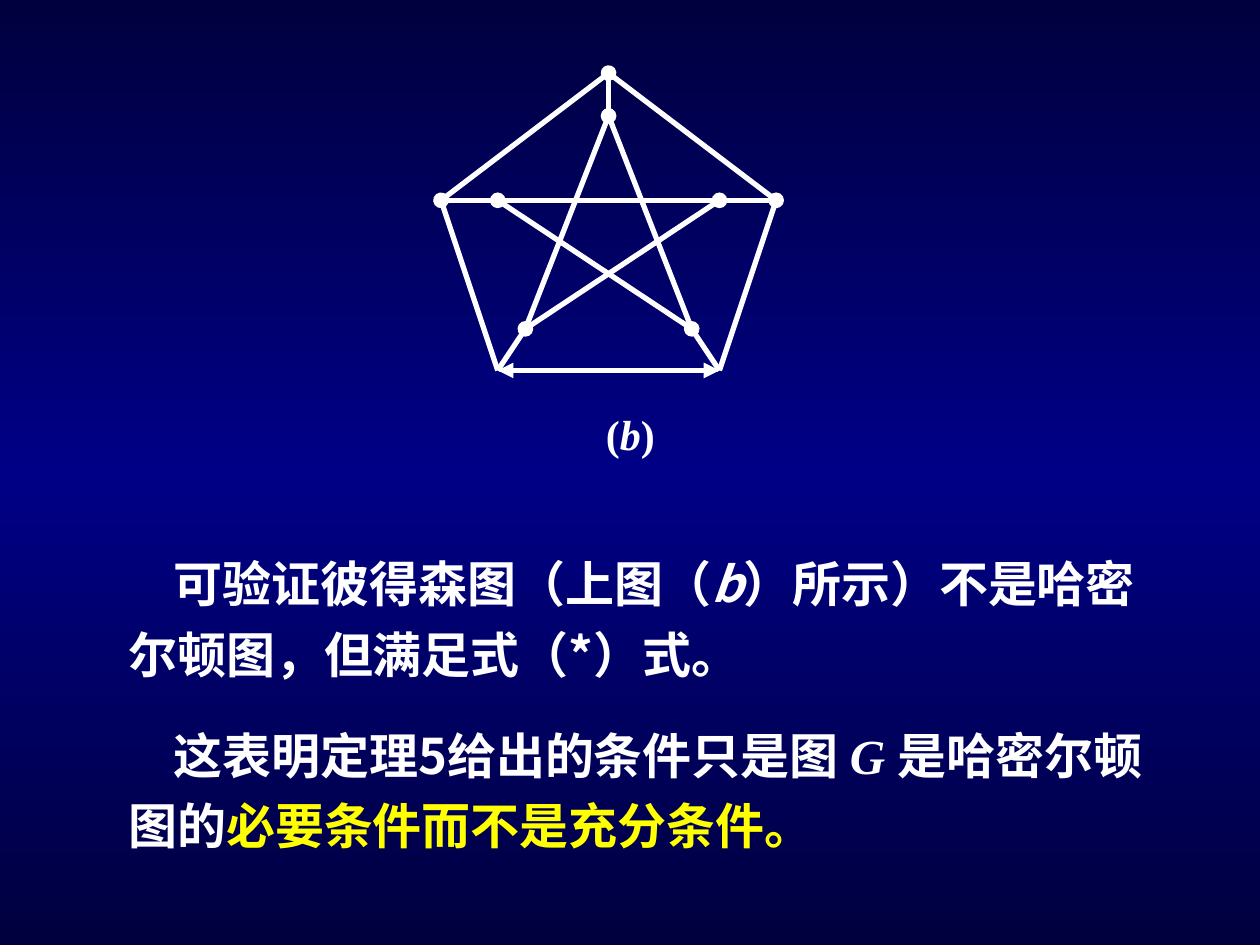
from copy import deepcopy

from pptx import Presentation
from pptx.dml.color import RGBColor
from pptx.enum.shapes import MSO_CONNECTOR
from pptx.enum.text import MSO_AUTO_SIZE
from pptx.oxml.ns import qn
from pptx.util import Inches, Pt
from lxml import etree

STRAIGHT = MSO_CONNECTOR.STRAIGHT
GROW = MSO_AUTO_SIZE.SHAPE_TO_FIT_TEXT

NAVY = RGBColor(0x00, 0x00, 0x3E)
BLUE = RGBColor(0x00, 0x00, 0x86)
WHITE = RGBColor(0xFF, 0xFF, 0xFF)
YELLOW = RGBColor(0xFF, 0xFF, 0x00)
ORANGE = RGBColor(0xFF, 0x66, 0x00)
GOLD = RGBColor(0xFF, 0xCC, 0x66)

SANS = "Noto Sans CJK SC"
SERIF = "Times New Roman"


def add_run(para, text, font=SANS, size=28, color=WHITE, italic=False):
    run = para.add_run()
    run.text = text
    run.font.name, run.font.size = font, Pt(size)
    run.font.bold, run.font.italic = True, italic
    run.font.color.rgb = color
    east = etree.SubElement(run.font._element, qn("a:ea"))
    east.set("typeface", font)


def add_text(shapes, box, paras, indent, lines=None, gap=0):
    """Each paragraph is a list of (text, format) pairs."""
    frame = shapes.add_textbox(*map(Inches, box)).text_frame
    frame.word_wrap = True
    frame.auto_size = GROW
    for i, runs in enumerate(paras):
        para = frame.add_paragraph() if i else frame.paragraphs[0]
        para._p.get_or_add_pPr().set("indent", str(Inches(indent)))
        para.line_spacing = lines
        if i:
            para.space_before = Pt(gap)
        for text, style in runs:
            add_run(para, text, **style)


def add_line(shapes, start, end, head=None, tail=None):
    line = shapes.add_connector(STRAIGHT, *map(Inches, start + end))
    line.line.color.rgb = WHITE
    line.line.width = Pt(3)
    pen = line.line._get_or_add_ln()
    for tag, kind in (("a:headEnd", head), ("a:tailEnd", tail)):
        if kind:
            etree.SubElement(pen, qn(tag)).set("type", kind)
    etree.SubElement(line._element.spPr, qn("a:effectLst"))


def add_graph(shapes, left, top):
    """Petersen graph: outer ring, inner star and five spokes."""
    mid = left + 1.33

    def ring(peak, side, wide, base, foot):
        return [(mid, top + peak), (mid + wide, top + side),
                (mid + foot, top + base), (mid - foot, top + base),
                (mid - wide, top + side)]

    outer = ring(0, 1.01, 1.33, 2.36, 0.88)
    inner = ring(0.34, 1.01, 0.88, 2.03, 0.66)
    ends = {2: "triangle", 4: "oval"}
    for i in range(5):
        kind = ends.get(i)
        add_line(shapes, outer[i], outer[(i + 1) % 5], kind, kind)
        add_line(shapes, inner[i], inner[(i + 2) % 5])
        rim = "oval" if i == 1 else None
        add_line(shapes, inner[i], outer[i], "oval", rim)


def add_figure(shapes, left, top):
    group = shapes.add_group_shape().shapes
    add_graph(group, left, top)
    style = {"font": SERIF, "size": 24}
    label = [("(", style), ("b", {**style, "italic": True}), (")", style)]
    add_text(group, (left + 0.79, top + 2.61, 1.33, 0.5), [label], 0.42)


def add_button(shapes, left, top, width, height, back):
    """Bevelled button; every face is a path of its own."""
    right, low, rim = left + width, top + height, 0.02
    outer = [(left, top), (right, top), (right, low), (left, low)]
    inner = [(left + rim, top + rim), (right - rim, top + rim),
             (right - rim, low - rim), (left + rim, low - rim)]
    faces = [outer]
    for i in range(4):
        j = (i + 1) % 4
        faces.append([outer[i], outer[j], inner[j], inner[i]])
    near, far = left + width / 4, right - width / 4
    tip, base = (near, far) if back else (far, near)
    mid = top + height / 2
    faces.append([(tip, mid), (base, mid - 0.08), (base, mid + 0.08)])

    pen = shapes.build_freeform(*faces[0][0], scale=Inches(1))
    for i, face in enumerate(faces):
        if i:
            pen.move_to(*face[0])
        pen.add_line_segments(face[1:], close=True)
    shape = pen.convert_to_shape()
    shape.shadow.inherit = False
    shape.fill.solid()
    shape.fill.fore_color.rgb = ORANGE
    tint = shape._element.spPr.find(qn("a:solidFill"))[0]
    etree.SubElement(tint, qn("a:alpha")).set("val", "50000")
    shape.line.color.rgb = GOLD
    shape.line.width = Pt(0.75)

    whole = shape._element.find(".//" + qn("a:path"))
    parent = whole.getparent()
    for step in list(whole):
        if step.tag == qn("a:moveTo"):
            part = etree.SubElement(parent, qn("a:path"), dict(whole.attrib))
        part.append(step)
    part.set("fill", "none")
    parent.remove(whole)


def paint_back(slide):
    fill = slide.background.fill
    fill.gradient()
    fill.gradient_angle = 270
    stops = slide.element.find(".//" + qn("a:gsLst"))
    stops.insert(1, deepcopy(stops[0]))
    for i, color in enumerate((NAVY, BLUE, NAVY)):
        stop = fill.gradient_stops[i]
        stop.color.rgb = color
        stop.position = i / 2


def add_body(shapes, box):
    proof = [("可验证彼得森图（上图（", {}), ("b", {"italic": True}),
             ("）所示）不是哈密尔顿图，但满足式（*）式。", {})]
    result = [("这表明定理5给出的条件只是图 ", {}),
              ("G ", {"font": SERIF, "italic": True}),
              ("是哈密尔顿图的", {}),
              ("必要条件而不是充分条件。", {"color": YELLOW})]
    add_text(shapes, box, [proof, result], 0.36, lines=1.2, gap=17.5)


def main():
    deck = Presentation()
    deck.slide_width, deck.slide_height = Inches(10), Inches(7.5)
    slide = deck.slides.add_slide(deck.slide_layouts[6])
    paint_back(slide)
    add_body(slide.shapes, (0.92, 4.25, 8.42, 2.59))
    add_figure(slide.shapes, 3.5, 0.58)
    for left, back in ((8.58, True), (9.08, False)):
        add_button(slide.shapes, left, 6.92, 0.33, 0.25, back)
    deck.save("out.pptx")


if __name__ == "__main__":
    main()
